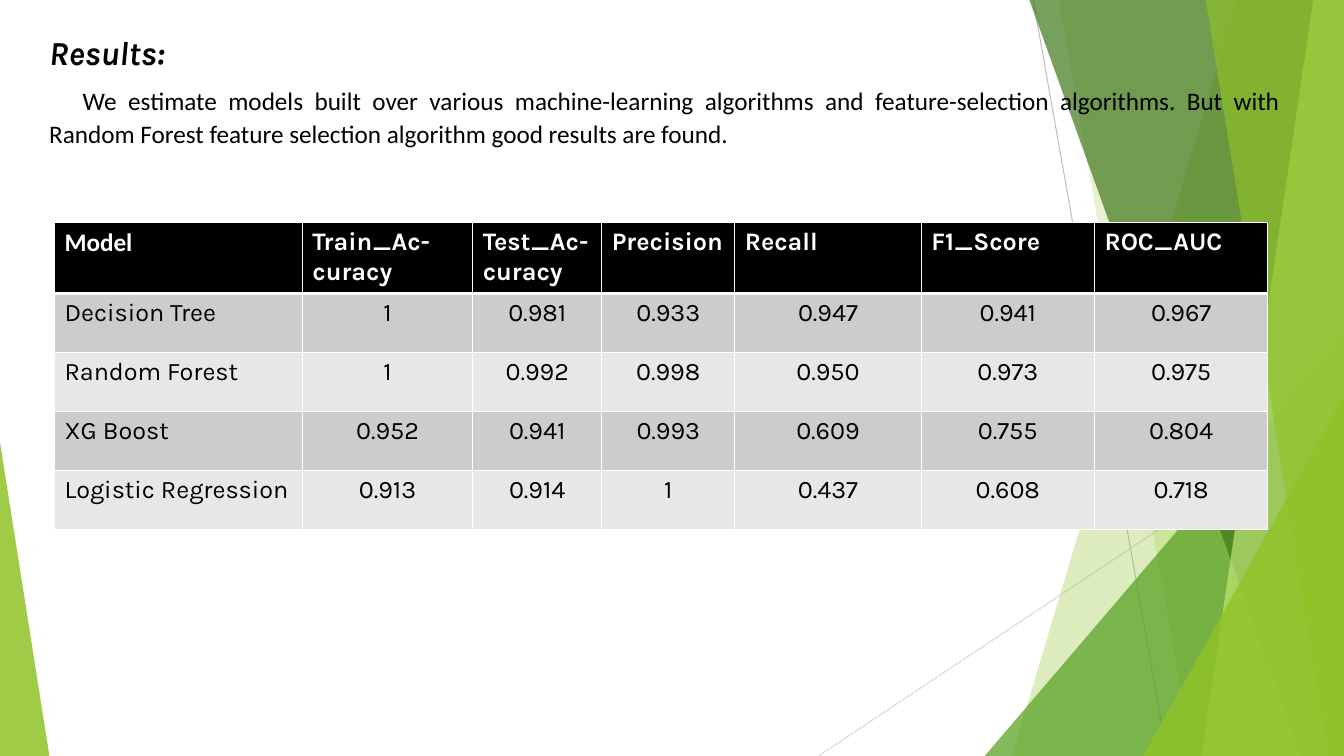
"""Build the model results slide with its faceted green backdrop."""
from lxml import etree
from pptx import Presentation
from pptx.dml.color import RGBColor
from pptx.enum.shapes import MSO_CONNECTOR, MSO_SHAPE
from pptx.enum.text import PP_ALIGN
from pptx.oxml.ns import qn
from pptx.util import Pt

STRAIGHT = MSO_CONNECTOR.STRAIGHT
TRIANGLE = MSO_SHAPE.ISOSCELES_TRIANGLE
LEFT, CENTER, JUSTIFY = PP_ALIGN.LEFT, PP_ALIGN.CENTER, PP_ALIGN.JUSTIFY
WIDTH, HEIGHT = 960, 540
BLACK, WHITE, LIME = "000000", "FFFFFF", "90C226"

COLUMN_WIDTHS = [177.1, 121.7, 92.2, 95, 133.2, 123.8, 123.8]
HEADER_HEIGHT, ROW_HEIGHT = 50.6, 42.2
RESULTS = [
    ["Model", "Train_Ac-curacy", "Test_Ac-curacy", "Precision", "Recall", "F1_Score", "ROC_AUC"],
    ["Decision Tree", "1", "0.981", "0.933", "0.947", "0.941", "0.967"],
    ["Random Forest", "1", "0.992", "0.998", "0.950", "0.973", "0.975"],
    ["XG Boost", "0.952", "0.941", "0.993", "0.609", "0.755", "0.804"],
    ["Logistic Regression", "0.913", "0.914", "1", "0.437", "0.608", "0.718"],
]
FINDING = (
    "We estimate models built over various machine-learning algorithms and "
    "feature-selection algorithms. But with Random Forest feature selection "
    "algorithm good results are found."
)


def paint(color_holder, color):
    """Give a fill or line a solid colour from a hex string."""
    color_holder.solid()
    color_holder.fore_color.rgb = RGBColor.from_string(color)


def style_facet(facet, color, opacity):
    """Fill a facet with a translucent colour, without outline or shadow."""
    paint(facet.fill, color)
    facet.line.fill.background()
    facet.shadow.inherit = False
    tint = facet.fill._xPr.find(qn("a:solidFill"))[0]
    etree.SubElement(tint, qn("a:alpha"), val=str(opacity * 1000))


def add_ray(slide, start, end, color):
    """Draw a thin backdrop line."""
    ray = slide.shapes.add_connector(STRAIGHT, *map(Pt, start + end))
    paint(ray.line.fill, color)
    ray.line.width = Pt(0.75)
    etree.SubElement(ray._element.spPr, qn("a:effectLst"))


def add_band(slide, top_x, bottom_x, color, opacity):
    """Draw a full-height band from a slanted edge to the right slide edge."""
    top = -0.6
    outline = slide.shapes.build_freeform(Pt(top_x), Pt(top))
    corners = [(WIDTH, top), (WIDTH, HEIGHT), (bottom_x, HEIGHT)]
    outline.add_line_segments([(Pt(x), Pt(y)) for x, y in corners])
    style_facet(outline.convert_to_shape(), color, opacity)


def add_corner(slide, left, top, width, apex, color, opacity):
    """Draw a triangle that stands on the bottom slide edge."""
    corner = slide.shapes.add_shape(
        TRIANGLE, Pt(left), Pt(top), Pt(width), Pt(HEIGHT - top))
    corner.adjustments[0] = apex
    style_facet(corner, color, opacity)


def add_backdrop(slide):
    """Layer the rays, bands and corners from back to front."""
    add_ray(slide, (738, 0), (833.8, HEIGHT), "BFBFBF")
    add_ray(slide, (WIDTH, 290.2), (584.6, HEIGHT), "D9D9D9")
    add_band(slide, 884.2, 722.9, LIME, 30)
    add_band(slide, 756, 851.8, LIME, 20)
    add_corner(slide, 703.4, 239.8, 256.6, 1, "54A021", 72)
    add_band(slide, 735.1, 929.5, "3F7819", 70)
    add_band(slide, 938.2, 858.2, "C0E474", 70)
    add_band(slide, 861.1, 949, LIME, 65)
    add_corner(slide, 816.5, 283, 143.5, 1, LIME, 80)
    add_corner(slide, 0, 316, 35.3, 0, LIME, 85)


def write(paragraph, text, font_name, size, color, bold=False, italic=False, align=LEFT):
    """Put formatted text into a paragraph."""
    paragraph.text = text
    paragraph.alignment = align
    font = paragraph.runs[0].font
    font.name, font.size, font.bold, font.italic = font_name, Pt(size), bold, italic
    paint(font.fill, color)


def add_summary(slide):
    """Add the heading and the finding below it."""
    summary = slide.shapes.add_textbox(Pt(28), Pt(17.3), Pt(893.5), Pt(470)).text_frame
    summary.word_wrap = True
    heading, finding = summary.paragraphs[0], summary.add_paragraph()
    write(heading, "Results:", "Karla", 24, BLACK, True, True, JUSTIFY)
    write(finding, FINDING, "Calibri", 18, BLACK, align=JUSTIFY)
    finding._p.get_or_add_pPr().set("indent", str(Pt(24)))
    for paragraph in (heading, finding):
        paragraph.line_spacing = 1.07
        paragraph.space_after = Pt(8)


def set_borders(cell, top, bottom):
    """Give a cell white borders, with the given top and bottom widths."""
    properties = cell._tc.get_or_add_tcPr()
    for side, width in (("L", 1), ("R", 1), ("T", top), ("B", bottom)):
        border = etree.SubElement(properties, qn(f"a:ln{side}"), w=str(Pt(width)))
        fill = etree.SubElement(border, qn("a:solidFill"))
        etree.SubElement(fill, qn("a:srgbClr"), val=WHITE)


def add_results_table(slide):
    """Add the table of scores per model."""
    heights = [HEADER_HEIGHT] + [ROW_HEIGHT] * (len(RESULTS) - 1)
    table = slide.shapes.add_table(
        len(RESULTS), len(COLUMN_WIDTHS), Pt(38.9), Pt(159.1),
        Pt(sum(COLUMN_WIDTHS)), Pt(sum(heights))).table
    for column, width in zip(table.columns, COLUMN_WIDTHS):
        column.width = Pt(width)
    for r, (height, entries) in enumerate(zip(heights, RESULTS)):
        table.rows[r].height = Pt(height)
        header = r == 0
        row_fill = BLACK if header else ("E7E7E7", "CCCCCC")[r % 2]
        for c, entry in enumerate(entries):
            cell = table.cell(r, c)
            set_borders(cell, 3 if r == 1 else 1, 3 if header else 1)
            paint(cell.fill, row_fill)
            write(cell.text_frame.paragraphs[0], entry,
                  "Calibri" if header and c == 0 else "Karla", 18,
                  WHITE if header else BLACK, bold=header,
                  align=LEFT if header or c == 0 else CENTER)


def main():
    """Build and save the slide."""
    deck = Presentation()
    deck.slide_width, deck.slide_height = Pt(WIDTH), Pt(HEIGHT)
    slide = deck.slides.add_slide(deck.slide_layouts[6])
    paint(slide.background.fill, WHITE)
    add_backdrop(slide)
    add_summary(slide)
    add_results_table(slide)
    deck.save("out.pptx")


main()
